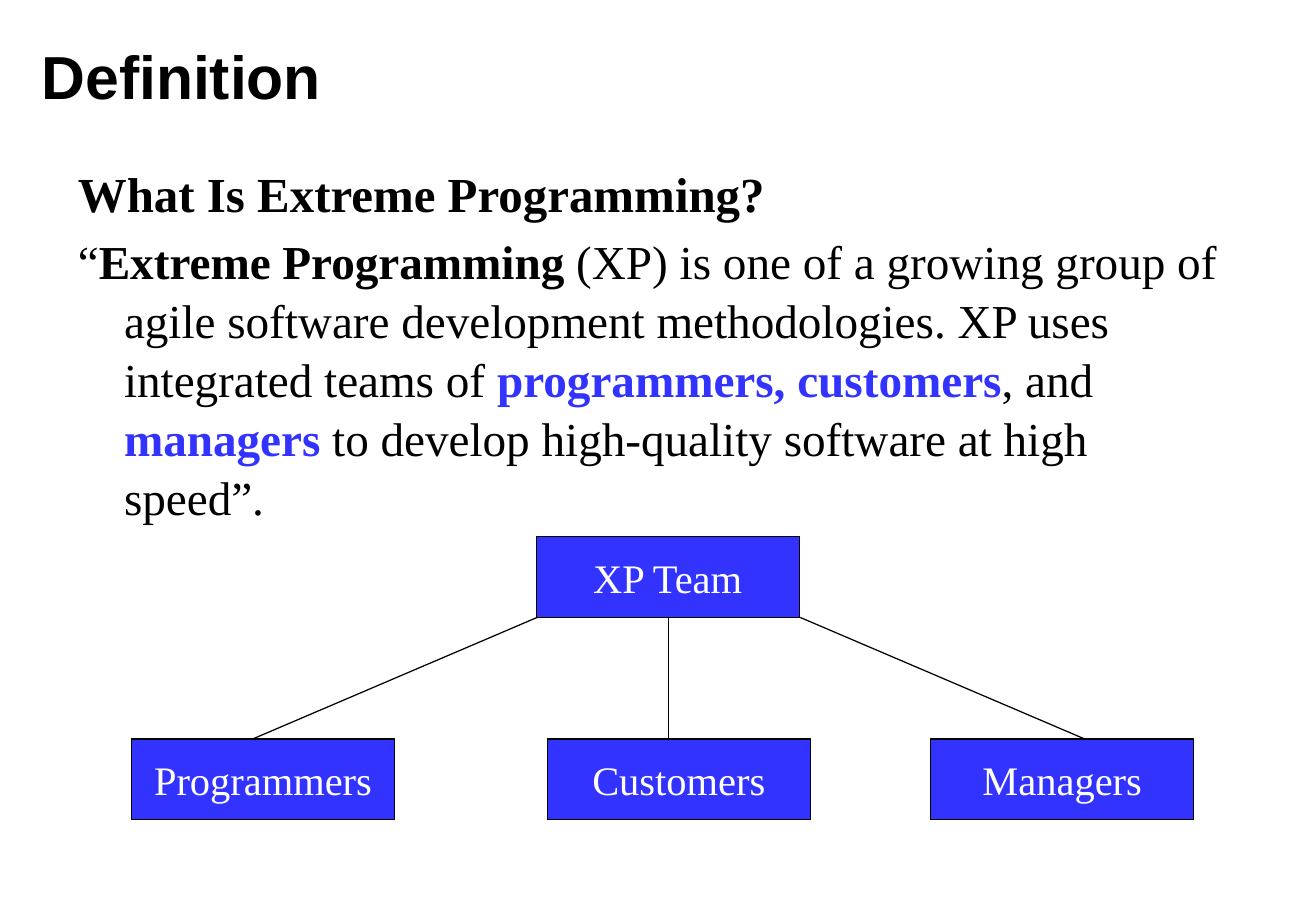
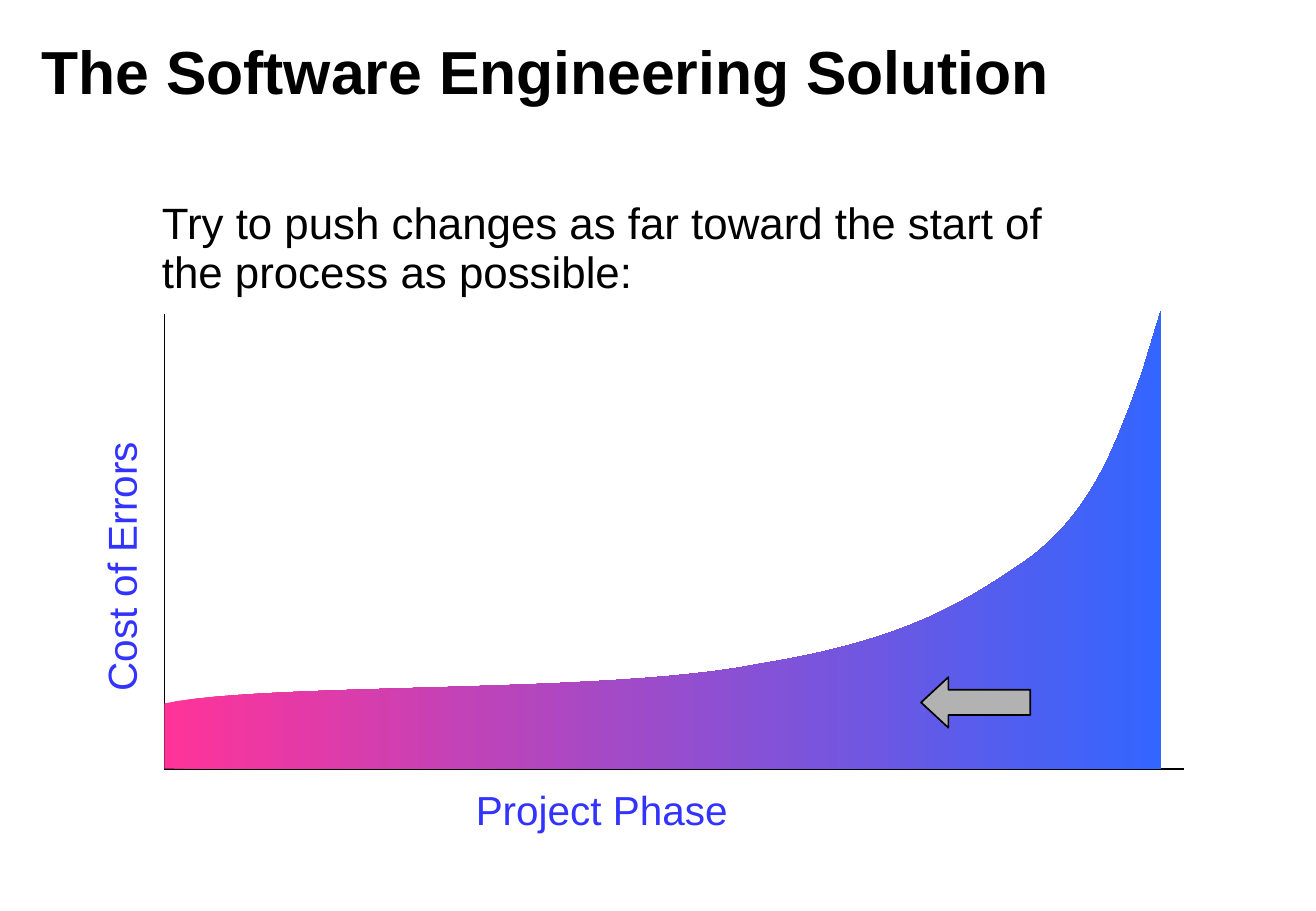
from collections import namedtuple

from lxml.etree import SubElement
from pptx import Presentation
from pptx.dml.color import RGBColor
from pptx.enum.shapes import MSO_CONNECTOR, MSO_SHAPE
from pptx.enum.text import MSO_ANCHOR, MSO_AUTO_SIZE, PP_ALIGN
from pptx.oxml.ns import qn
from pptx.util import Inches, Pt

BLACK = RGBColor(0x00, 0x00, 0x00)
WHITE = RGBColor(0xFF, 0xFF, 0xFF)
BLUE = RGBColor(0x33, 0x33, 0xFF)
GRAY = RGBColor(0xB2, 0xB2, 0xB2)
PINK = RGBColor(0xFF, 0x33, 0x99)
SKY = RGBColor(0x33, 0x66, 0xFF)
SANS = "Arial"
SERIF = "Times New Roman"
CELLS_PER_INCH = 12
CURVE_STEPS = 24

Box = namedtuple("Box", "left top width height")
TITLE_BOX = Box(2.9, 1.8, 104.4, 11.2)


def grid(cells):
    return Inches(cells / CELLS_PER_INCH)


def within(box, left, top, width, height):
    return Box(box.left + left, box.top + top, width, height)


def place(shape, box):
    shape.left, shape.top, shape.width, shape.height = map(grid, box)


def style(span, size, name, color=BLACK, bold=False):
    span.font.size = Pt(size)
    span.font.name = name
    span.font.color.rgb = color
    span.font.bold = bold


def add_page(deck, title, line_spacing=1.0):
    page = deck.slides.add_slide(deck.slide_layouts[1])
    heading = page.shapes.title
    place(heading, TITLE_BOX)
    frame = heading.text_frame
    frame.text = title
    frame.auto_size = MSO_AUTO_SIZE.NONE
    frame.vertical_anchor = MSO_ANCHOR.MIDDLE
    para = frame.paragraphs[0]
    para.alignment = PP_ALIGN.LEFT
    para.line_spacing = line_spacing
    style(para.runs[0], 36, SANS, bold=True)
    return page


def fill_body(page, box, paragraphs, name, line_spacing, hanging=0.0, gap=0.0):
    body = page.placeholders[1]
    place(body, box)
    frame = body.text_frame
    frame.auto_size = MSO_AUTO_SIZE.NONE
    for index, (size, spans) in enumerate(paragraphs):
        para = frame.add_paragraph() if index else frame.paragraphs[0]
        properties = para._p.get_or_add_pPr()
        properties.set("marL", str(Inches(hanging)))
        properties.set("indent", str(-Inches(hanging)))
        SubElement(properties, qn("a:buNone"))
        para.line_spacing = line_spacing
        para.space_before = Pt(gap if index else 0)
        for text, color, bold in spans:
            span = para.add_run()
            span.text = text
            style(span, size, name, color, bold)


def add_line(page, start, end, width):
    line = page.shapes.add_connector(MSO_CONNECTOR.STRAIGHT, *map(grid, start + end))
    line.line.color.rgb = BLACK
    line.line.width = Pt(width)
    SubElement(line._element.spPr, qn("a:effectLst"))


def add_preset(page, kind, box, fill, line_width):
    shape = page.shapes.add_shape(kind, *map(grid, box))
    shape.shadow.inherit = False
    shape.fill.solid()
    shape.fill.fore_color.rgb = fill
    shape.line.color.rgb = BLACK
    shape.line.width = Pt(line_width)
    return shape


def add_node(page, box, text):
    node = add_preset(page, MSO_SHAPE.RECTANGLE, box, BLUE, 0.75)
    frame = node.text_frame
    frame.text = text
    frame.word_wrap = False
    frame.vertical_anchor = MSO_ANCHOR.MIDDLE
    frame.paragraphs[0].alignment = PP_ALIGN.CENTER
    style(frame.paragraphs[0].runs[0], 24, SERIF, WHITE)


def add_team_tree(page, box):
    node_width, node_height = 26, 8
    root = within(box, 40, 0, node_width, node_height)
    leaf_top = box.height - node_height
    add_node(page, root, "XP Team")
    for column, text in ((0, "Programmers"), (41.1, "Customers"), (79, "Managers")):
        add_node(page, within(box, column, leaf_top, node_width, node_height), text)
    center = root.left + node_width / 2 + 0.1
    for side in (0, -1, 1):
        start = (center + side * node_width / 2, root.top + node_height)
        end = (center + side * 41.1, box.top + leaf_top)
        add_line(page, start, end, 0.75)


def add_axis_label(page, box, text, vertical=False):
    label = page.shapes.add_textbox(*map(grid, box))
    frame = label.text_frame
    frame.text = text
    frame.word_wrap = False
    if vertical:
        frame._txBody.bodyPr.set("vert", "vert270")
    style(frame.paragraphs[0].runs[0], 24, SANS, BLUE)


def bezier(start, first, second, end):
    for step in range(1, CURVE_STEPS + 1):
        t = step / CURVE_STEPS
        weights = ((1 - t) ** 3, 3 * t * (1 - t) ** 2, 3 * t * t * (1 - t), t ** 3)
        corners = (start, first, second, end)
        yield tuple(sum(w * corner[axis] for w, corner in zip(weights, corners))
                    for axis in (0, 1))


def add_cost_area(page, box):
    right = 98.5
    start = (0, 38.8)
    curves = (
        ((10.4, 36.7), (43.9, 37.9), (58.8, 34.9)),
        ((73, 32.6), (78.8, 29), (85, 24.8)),
        ((91.1, 20.5), (93.5, 14.4), (95.4, 9.5)),
        ((97.2, 4.6), (96.4, 6.8), (right, 0)),
    )
    points = [start]
    for curve in curves:
        points.extend(bezier(points[-1], *curve))
    points += [(right, box.height), (0, box.height)]
    outline = [(grid(box.left + x), grid(box.top + y)) for x, y in points]
    builder = page.shapes.build_freeform(*outline[0])
    builder.add_line_segments(outline[1:], close=True)
    area = builder.convert_to_shape()
    area.shadow.inherit = False
    area.line.fill.background()
    area.fill.gradient()
    area.fill.gradient_angle = 0
    for stop, position, color in zip(area.fill.gradient_stops, (0, 1), (PINK, SKY)):
        stop.position = position
        stop.color.rgb = color


def add_cost_diagram(page, box):
    bottom = box.top + box.height
    corner = (box.left, bottom)
    add_line(page, (box.left, box.top + 0.3), corner, 1)
    add_line(page, (box.left + box.width, bottom), corner, 1)
    add_axis_label(page, within(box, 29.6, 46.3, 27.8, 6), "Project Phase")
    add_axis_label(page, within(box, -7.3, 10.4, 6, 28.4), "Cost of Errors", vertical=True)
    add_cost_area(page, box)
    arrow = add_preset(page, MSO_SHAPE.LEFT_ARROW, within(box, 74.8, 36.2, 10.8, 5), GRAY, 1)
    arrow.adjustments[0] = 0.5
    arrow.adjustments[1] = 0.54


def build_definition(deck):
    page = add_page(deck, "Definition")
    fill_body(page, Box(6.5, 15.3, 117, 65.4), (
        (29, (("What Is Extreme Programming?", BLACK, True),)),
        (28, (
            ("“", BLACK, False),
            ("Extreme Programming", BLACK, True),
            (" (XP) is one of a growing group of agile software development "
             "methodologies. XP uses integrated teams of ", BLACK, False),
            ("programmers, customers", BLUE, True),
            (", and ", BLACK, False),
            ("managers", BLUE, True),
            (" to develop high-quality software at high speed”.", BLACK, False),
        )),
    ), SERIF, 1.04, hanging=0.38, gap=4.8)
    add_team_tree(page, Box(13, 53, 105, 28))


def build_solution(deck):
    page = add_page(deck, "The Software Engineering Solution", 0.9)
    text = "Try to push changes as far toward the start of the process as possible:"
    fill_body(page, Box(14.8, 19.2, 94.7, 11), ((26, ((text, BLACK, False),)),), SANS, 0.93)
    add_cost_diagram(page, Box(16.25, 30.7, 100.8, 45.25))


def main():
    deck = Presentation()
    deck.slide_width = Inches(10.84)
    deck.slide_height = Inches(7.5)
    build_definition(deck)
    build_solution(deck)
    deck.save("out.pptx")


if __name__ == "__main__":
    main()
